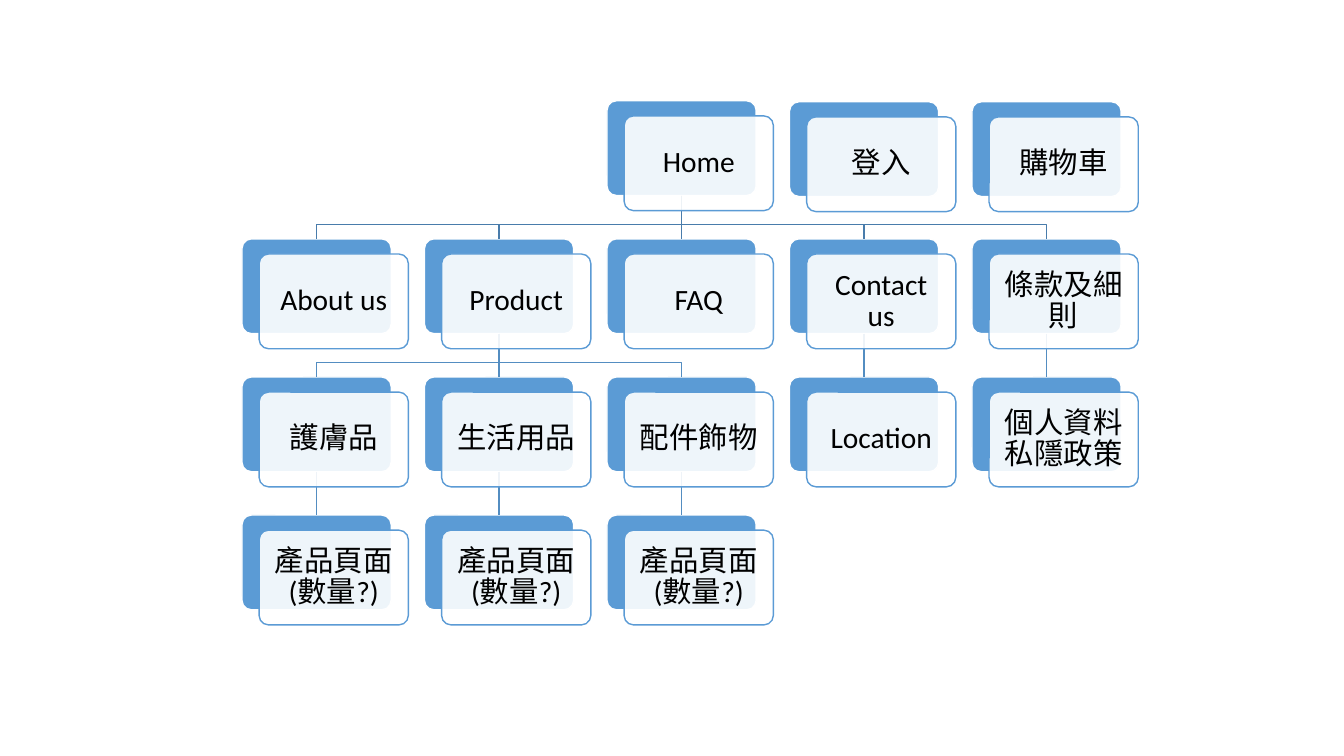
from dataclasses import dataclass

from lxml import etree
from pptx import Presentation
from pptx.dml.color import RGBColor
from pptx.enum.shapes import MSO_CONNECTOR, MSO_SHAPE
from pptx.enum.text import MSO_ANCHOR, PP_ALIGN
from pptx.oxml.ns import qn
from pptx.shapes.autoshape import Shape
from pptx.shapes.connector import Connector
from pptx.slide import Slide
from pptx.util import Inches, Pt

ROUNDED = MSO_SHAPE.ROUNDED_RECTANGLE
STRAIGHT = MSO_CONNECTOR.STRAIGHT
CENTER = PP_ALIGN.CENTER
MIDDLE = MSO_ANCHOR.MIDDLE
TOP_SITE, BOTTOM_SITE = 0, 2


@dataclass(frozen=True)
class Theme:
    blue: RGBColor = RGBColor(0x5B, 0x9B, 0xD5)
    white: RGBColor = RGBColor(0xFF, 0xFF, 0xFF)
    black: RGBColor = RGBColor(0, 0, 0)
    upper_link: RGBColor = RGBColor(0x49, 0x7C, 0xAB)
    lower_link: RGBColor = RGBColor(0x53, 0x8D, 0xC1)
    card_alpha: int = 90000
    font: str = "Calibri"
    text_size: Pt = Pt(21)
    line_width: Pt = Pt(1)


@dataclass(frozen=True)
class Node:
    label: str
    column: int
    row: int
    parent: tuple[int, int] | None = None
    drop: float = 0

    @property
    def left(self) -> float:
        return LEFT + self.column * COLUMN_STEP

    @property
    def top(self) -> float:
        return TOP + self.row * ROW_STEP + self.drop


THEME = Theme()
LEFT, TOP = 2.4, 1.0
COLUMN_STEP, ROW_STEP = 1.81, 1.37
BOX_WIDTH, BOX_HEIGHT = 1.48, 0.94
CARD_RIGHT, CARD_DOWN = 0.17, 0.15
BEND_DROP = 0.29
MARGIN = 0.09
HOME, PRODUCT = (2, 0), (1, 1)

NODES = [
    Node("登入", 3, 0, drop=0.01),
    Node("購物車", 4, 0, drop=0.01),
    Node("Home", 2, 0),
    *[
        Node(label, column, 1, HOME)
        for column, label in enumerate(
            ["About us", "Product", "FAQ", "Contact us", "條款及細則"]
        )
    ],
    *[
        Node(label, column, 2, PRODUCT)
        for column, label in enumerate(["護膚品", "生活用品", "配件飾物"])
    ],
    *[Node("產品頁面 (數量?)", column, 3, (column, 2)) for column in range(3)],
    Node("Location", 3, 2, (3, 1)),
    Node("個人資料私隱政策", 4, 2, (4, 1)),
]


def add_box(page: Slide, left: float, top: float, fill: RGBColor, line: RGBColor) -> Shape:
    box = page.shapes.add_shape(
        ROUNDED, Inches(left), Inches(top), Inches(BOX_WIDTH), Inches(BOX_HEIGHT)
    )
    box.adjustments[0] = 0.1
    box.shadow.inherit = False
    box.fill.solid()
    box.fill.fore_color.rgb = fill
    box.line.color.rgb = line
    box.line.width = THEME.line_width
    return box


def add_card(page: Slide, node: Node) -> None:
    card = add_box(
        page, node.left + CARD_RIGHT, node.top + CARD_DOWN, THEME.white, THEME.blue
    )
    color = card.fill._xPr.find(qn("a:solidFill")).find(qn("a:srgbClr"))
    etree.SubElement(color, qn("a:alpha"), val=str(THEME.card_alpha))
    frame = card.text_frame
    frame.text = node.label
    frame.word_wrap = True
    frame.vertical_anchor = MIDDLE
    frame.margin_left = frame.margin_right = Inches(MARGIN)
    frame.margin_top = frame.margin_bottom = Inches(MARGIN)
    para = frame.paragraphs[0]
    para.alignment = CENTER
    para.line_spacing = 0.9
    span = para.runs[0]
    span.font.name = THEME.font
    span.font.size = THEME.text_size
    span.font.color.rgb = THEME.black


def add_straight_link(page: Slide, parent_box: Shape, child_box: Shape) -> Connector:
    link = page.shapes.add_connector(STRAIGHT, 0, 0, 0, 0)
    link.begin_connect(parent_box, BOTTOM_SITE)
    link.end_connect(child_box, TOP_SITE)
    etree.SubElement(link._element.spPr, qn("a:effectLst"))
    return link


def add_bent_link(page: Slide, parent: Node, child: Node) -> Shape:
    start_x = Inches(parent.left + BOX_WIDTH / 2)
    start_y = Inches(parent.top + BOX_HEIGHT)
    end_x = Inches(child.left + BOX_WIDTH / 2)
    bend_y = start_y + Inches(BEND_DROP)
    builder = page.shapes.build_freeform(start_x, start_y)
    builder.add_line_segments(
        [(start_x, bend_y), (end_x, bend_y), (end_x, Inches(child.top))], close=False
    )
    link = builder.convert_to_shape()
    link.fill.background()
    link.shadow.inherit = False
    return link


def add_link(
    page: Slide, parent: Node, child: Node, boxes: dict[tuple[int, int], Shape]
) -> None:
    if parent.column == child.column:
        link = add_straight_link(
            page, boxes[parent.column, parent.row], boxes[child.column, child.row]
        )
    else:
        link = add_bent_link(page, parent, child)
    link.line.color.rgb = THEME.upper_link if parent.row == 0 else THEME.lower_link
    link.line.width = THEME.line_width


def main() -> None:
    deck = Presentation()
    deck.slide_width, deck.slide_height = Inches(13.33), Inches(7.5)
    page = deck.slides.add_slide(deck.slide_layouts[6])
    places = {(node.column, node.row): node for node in NODES}
    boxes = {
        place: add_box(page, node.left, node.top, THEME.blue, THEME.white)
        for place, node in places.items()
    }
    for node in NODES:
        if node.parent:
            add_link(page, places[node.parent], node, boxes)
    for node in NODES:
        add_card(page, node)
    deck.save("out.pptx")


if __name__ == "__main__":
    main()
